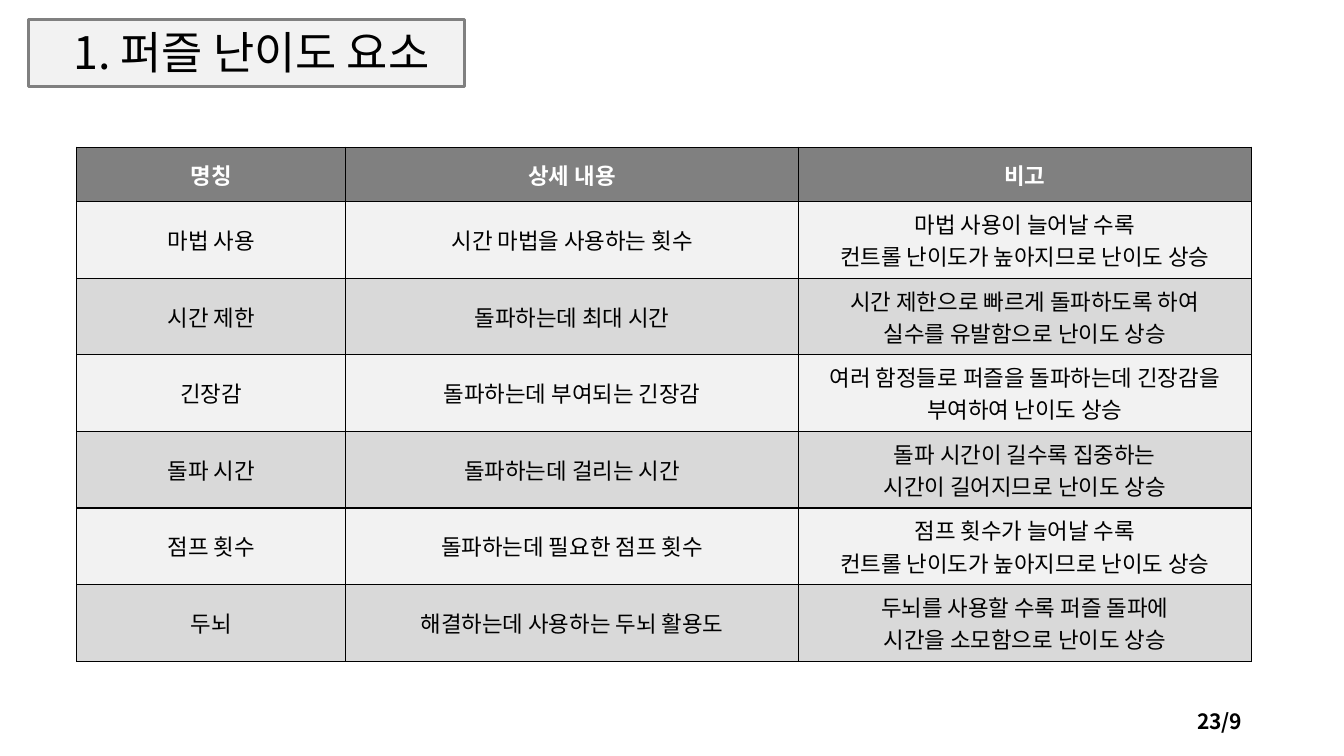
import pptx
import pptx.util
import pptx.dml.color
import pptx.enum.shapes
import pptx.enum.text
import pptx.oxml.ns
from lxml import etree

Inches = pptx.util.Inches
Pt = pptx.util.Pt
ALIGN = pptx.enum.text.PP_ALIGN
ANCHOR = pptx.enum.text.MSO_ANCHOR
FONT = "Noto Sans CJK KR"
COLORS = {"black": "000000", "white": "FFFFFF", "gray": "808080",
          "light": "F2F2F2", "band": "D9D9D9"}


def rgb(name):
    return pptx.dml.color.RGBColor.from_string(COLORS[name])


def write_text(frame, text, size=16, color="black", bold=False,
               align=ALIGN.CENTER, line_spacing=None):
    frame.word_wrap = True
    for index, line in enumerate(text.split("\n")):
        paragraph = frame.paragraphs[0] if index == 0 else frame.add_paragraph()
        paragraph.alignment = align
        paragraph.line_spacing = line_spacing
        run = paragraph.add_run()
        run.text = line
        run.font.name = FONT
        run.font.size = Pt(size)
        run.font.bold = bold
        run.font.color.rgb = rgb(color)
        # Hangul takes the East Asian typeface
        east_asian = etree.SubElement(run.font._element, pptx.oxml.ns.qn("a:ea"))
        east_asian.set("typeface", FONT)


presentation = pptx.Presentation()
presentation.slide_width = Inches(13.33)
presentation.slide_height = Inches(7.5)
slide = presentation.slides.add_slide(presentation.slide_layouts[6])

# Title frame
title_frame = slide.shapes.add_shape(
    pptx.enum.shapes.MSO_SHAPE.RECTANGLE,
    Inches(0.28), Inches(0.19), Inches(4.33), Inches(0.67))
title_frame.shadow.inherit = False
title_frame.fill.solid()
title_frame.fill.fore_color.rgb = rgb("light")
title_frame.line.color.rgb = rgb("gray")
title_frame.line.width = Pt(2.25)

# Title
title = slide.shapes.add_textbox(Inches(0.42), Inches(0.18), Inches(4.15), Inches(0.65))
title.text_frame.vertical_anchor = ANCHOR.BOTTOM
write_text(title.text_frame, "1. 퍼즐 난이도 요소", size=32, line_spacing=0.9)

# Page number
page_number = slide.shapes.add_textbox(Inches(9.42), Inches(6.95), Inches(3), Inches(0.4))
page_number.text_frame.vertical_anchor = ANCHOR.MIDDLE
write_text(page_number.text_frame, "23/9", size=15, bold=True, align=ALIGN.RIGHT)

# Difficulty table
rows = [
    ("명칭", "상세 내용", "비고"),
    ("마법 사용", "시간 마법을 사용하는 횟수",
     "마법 사용이 늘어날 수록\n컨트롤 난이도가 높아지므로 난이도 상승"),
    ("시간 제한", "돌파하는데 최대 시간",
     "시간 제한으로 빠르게 돌파하도록 하여\n실수를 유발함으로 난이도 상승"),
    ("긴장감", "돌파하는데 부여되는 긴장감",
     "여러 함정들로 퍼즐을 돌파하는데 긴장감을\n부여하여 난이도 상승"),
    ("돌파 시간", "돌파하는데 걸리는 시간",
     "돌파 시간이 길수록 집중하는\n시간이 길어지므로 난이도 상승"),
    ("점프 횟수", "돌파하는데 필요한 점프 횟수",
     "점프 횟수가 늘어날 수록\n컨트롤 난이도가 높아지므로 난이도 상승"),
    ("두뇌", "해결하는데 사용하는 두뇌 활용도",
     "두뇌를 사용할 수록 퍼즐 돌파에\n시간을 소모함으로 난이도 상승"),
]
table = slide.shapes.add_table(len(rows), 3, Inches(0.76), Inches(1.46),
                               Inches(11.65), Inches(5.1)).table
for column, width in zip(table.columns, (2.67, 4.49, 4.49)):
    column.width = Inches(width)

for row_index, texts in enumerate(rows):
    is_header = row_index == 0
    table.rows[row_index].height = Inches(0.54 if is_header else 0.76)
    fill = "gray" if is_header else ("light" if row_index % 2 else "band")
    for column_index, text in enumerate(texts):
        cell = table.cell(row_index, column_index)
        cell.vertical_anchor = ANCHOR.MIDDLE
        write_text(cell.text_frame, text, bold=is_header,
                   color="white" if is_header else "black")
        # Borders come before the fill in the cell properties
        properties = cell._tc.get_or_add_tcPr()
        for side in ("lnL", "lnR", "lnT", "lnB"):
            border = etree.SubElement(properties, pptx.oxml.ns.qn("a:" + side),
                                      w=str(Pt(1)))
            border_fill = etree.SubElement(border, pptx.oxml.ns.qn("a:solidFill"))
            etree.SubElement(border_fill, pptx.oxml.ns.qn("a:srgbClr"),
                             val=COLORS["black"])
        cell.fill.solid()
        cell.fill.fore_color.rgb = rgb(fill)

presentation.save("out.pptx")
